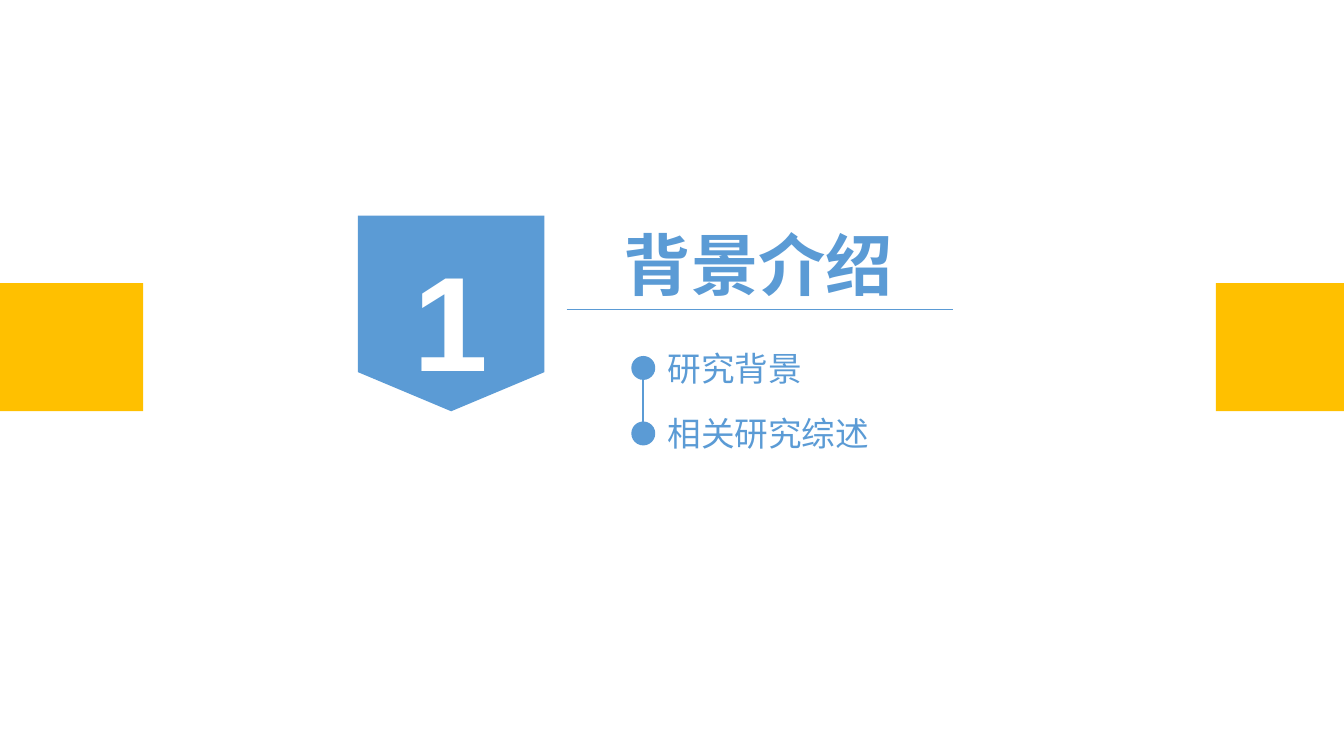
from dataclasses import dataclass

from lxml import etree
from pptx import Presentation
from pptx.dml.color import RGBColor
from pptx.enum import shapes, text
from pptx.oxml import ns
from pptx.util import Inches, Pt

COLORS = {"blue": "5B9BD5", "amber": "FFC000", "white": "FFFFFF"}
LATIN = "Arial"
CHINESE = "Noto Sans CJK SC"
DOT = 0.22
DOT_LEFT = 6.27
DOT_CENTER = DOT_LEFT + DOT / 2
LABEL_HEIGHT = 0.54


@dataclass(frozen=True)
class Topic:
    label: str
    top: float


@dataclass(frozen=True)
class SideBlock:
    left: float
    width: float


TOPICS = [Topic("研究背景", 3.54), Topic("相关研究综述", 4.19)]
SIDE_BLOCKS = [SideBlock(0, 1.42), SideBlock(12.06, 1.28)]


def color(name: str) -> RGBColor:
    return RGBColor.from_string(COLORS[name])


def add_filled(page, kind, left: float, top: float, width: float, height: float,
               fill: str, outline: float = 0):
    """Add a preset shape; outline is a width in points, 0 for none."""
    shape = page.shapes.add_shape(
        kind, Inches(left), Inches(top), Inches(width), Inches(height))
    shape.shadow.inherit = False
    shape.fill.solid()
    shape.fill.fore_color.rgb = color(fill)
    if outline:
        shape.line.color.rgb = color(fill)
        shape.line.width = Pt(outline)
    else:
        shape.line.fill.background()
    return shape


def add_line(page, start: tuple[float, float], end: tuple[float, float], width: float):
    line = page.shapes.add_connector(
        shapes.MSO_CONNECTOR.STRAIGHT, *map(Inches, start + end))
    line.line.color.rgb = color("blue")
    line.line.width = Pt(width)
    etree.SubElement(line._element.spPr, ns.qn("a:effectLst"))
    return line


def write(box, words: str, *, size: float, font: str = CHINESE, fill: str = "blue",
          bold: bool = False, align=text.PP_ALIGN.LEFT, spacing: float = 1.0) -> None:
    para = box.text_frame.paragraphs[0]
    para.alignment = align
    para.line_spacing = spacing
    span = para.add_run()
    span.text = words
    span.font.size = Pt(size)
    span.font.bold = bold
    span.font.name = font
    span.font.color.rgb = color(fill)
    east_asian = etree.SubElement(span.font._element, ns.qn("a:ea"))
    east_asian.set("typeface", font)


def add_text(page, words: str, left: float, top: float, width: float, height: float,
             *, wrap: bool = True, margins: tuple[float, float] = (0.1, 0.05), **style):
    """Add a text box; margins are the side and the top/bottom insets."""
    box = page.shapes.add_textbox(
        Inches(left), Inches(top), Inches(width), Inches(height))
    frame = box.text_frame
    frame.word_wrap = wrap
    frame.auto_size = text.MSO_AUTO_SIZE.SHAPE_TO_FIT_TEXT
    frame.margin_left = frame.margin_right = Inches(margins[0])
    frame.margin_top = frame.margin_bottom = Inches(margins[1])
    write(box, words, **style)
    return box


def add_heading(page) -> None:
    badge = add_filled(page, shapes.MSO_SHAPE.FLOWCHART_OFFPAGE_CONNECTOR,
                       3.55, 2.14, 1.85, 1.94, "blue")
    badge.text_frame.vertical_anchor = text.MSO_ANCHOR.MIDDLE
    write(badge, "1", size=96, font=LATIN, fill="white", bold=True,
          align=text.PP_ALIGN.CENTER, spacing=1.3)
    add_line(page, (5.62, 3.07), (9.45, 3.07), 1)
    add_text(page, "背景介绍", 6.09, 2.17, 2.89, 0.91, wrap=False, size=48, bold=True)


def add_topics(page) -> None:
    add_line(page, (DOT_CENTER, TOPICS[0].top + DOT),
             (DOT_CENTER, TOPICS[-1].top + DOT), 1.25)
    for topic in TOPICS:
        add_filled(page, shapes.MSO_SHAPE.OVAL, DOT_LEFT, topic.top, DOT, DOT,
                   "blue", outline=1.25)
    for topic in TOPICS:
        label_top = topic.top + (DOT - LABEL_HEIGHT) / 2
        add_text(page, topic.label, DOT_LEFT + DOT, label_top, 3.5, LABEL_HEIGHT,
                 margins=(0.13, 0.07), size=24)


def main() -> None:
    deck = Presentation()
    deck.slide_width, deck.slide_height = Inches(13.33), Inches(7.5)
    page = deck.slides.add_slide(deck.slide_layouts[6])
    add_heading(page)
    add_topics(page)
    for block in SIDE_BLOCKS:
        add_filled(page, shapes.MSO_SHAPE.RECTANGLE, block.left, 2.81,
                   block.width, 1.27, "amber")
    deck.save("out.pptx")


if __name__ == "__main__":
    main()
